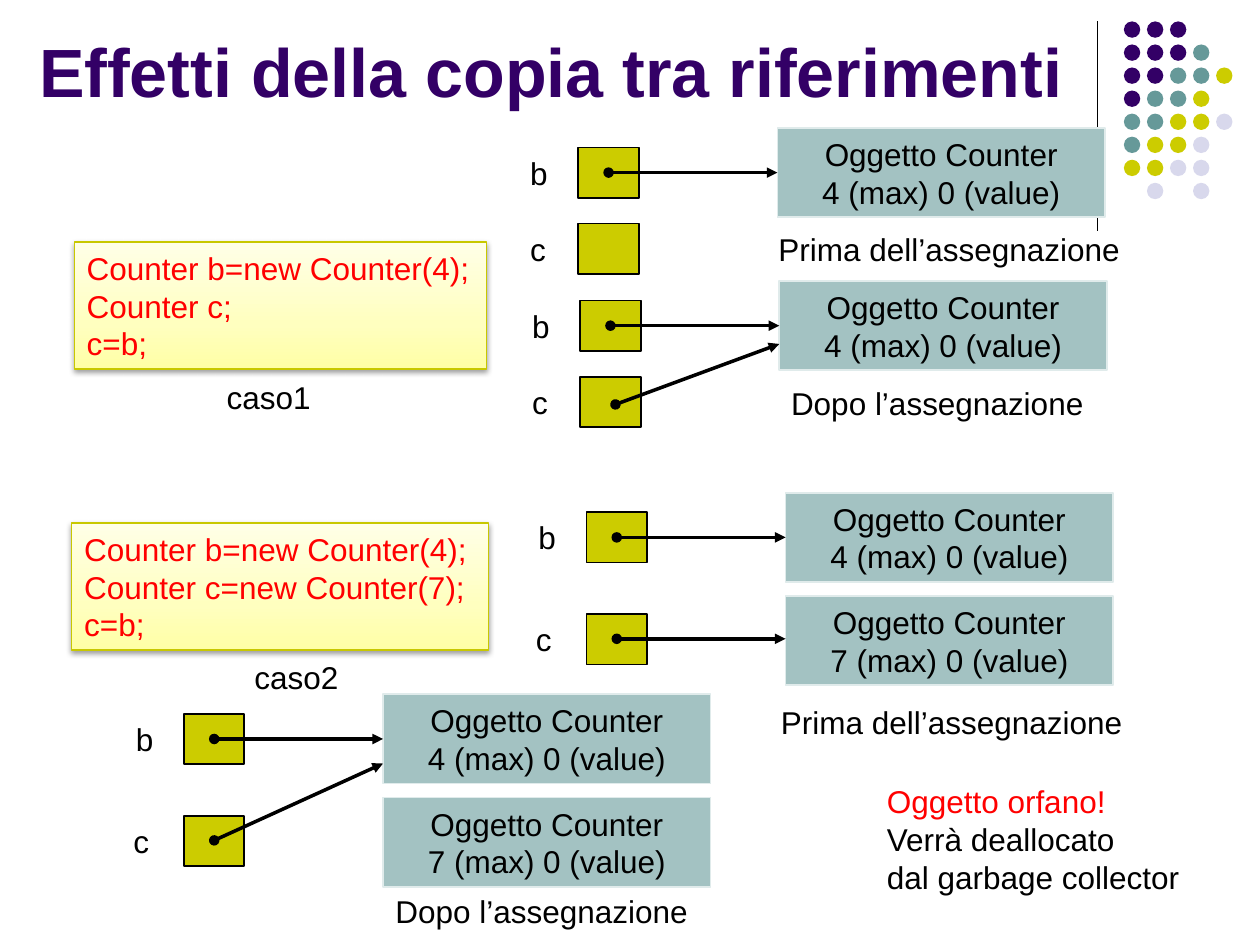
from lxml.etree import SubElement
from pptx import Presentation
from pptx.dml.color import RGBColor as RGB
from pptx.enum.shapes import MSO_CONNECTOR as LINK, MSO_SHAPE as KIND
from pptx.enum.text import MSO_ANCHOR as ANCHOR, MSO_AUTO_SIZE as FIT, PP_ALIGN as ALIGN
from pptx.oxml import parse_xml
from pptx.oxml.ns import nsdecls, qn
from pptx.util import Inches, Pt

HUES = {
    "ink": "000000", "red": "FF0000", "plum": "330066", "teal": "669999",
    "lime": "CCCC00", "haze": "D8D8EC", "sage": "A3C2C2", "rim": "E0EBEB",
    "edge": "C8C800", "deep": "FFFFA5", "mid": "FFFFBF", "pale": "FFFFE7",
}
WIDE, HIGH = Inches(10), Inches(7.5)
UNIT = WIDE / 100  # the grid has 100 columns and 75 rows
DOTS = ["PPP", "PPPT", "PPTTY", "PTTY", "TTYYL", "TYYL", "YYLL", " L L"]
DOT_HUES = {"P": "plum", "T": "teal", "Y": "lime", "L": "haze"}
CELL_W, CELL_H = 4.8, 4
OBJ_X, OBJ_W, OBJ_H = 15.8, 26, 7.1
BEFORE, AFTER = "Prima dell’assegnazione", "Dopo l’assegnazione"


def hue(name):
    return RGB.from_string(HUES[name])


def grid(*cells):
    return [round(cell * UNIT) for cell in cells]


def write(shape, text, hues=("ink",), size=18, bold=False, align=ALIGN.LEFT):
    """Fill a shape with text; the last hue serves all remaining lines."""
    frame = shape.text_frame
    frame.text = text
    for i, para in enumerate(frame.paragraphs):
        para.alignment = align
        for run in para.runs:
            font = run.font
            font.name, font.size, font.bold = "Arial", Pt(size), bold
            font.color.rgb = hue(hues[min(i, len(hues) - 1)])


def label(slide, box, text, hues=("ink",), wrap=False):
    shape = slide.shapes.add_textbox(*grid(*box))
    shape.text_frame.word_wrap = wrap
    shape.text_frame.auto_size = FIT.SHAPE_TO_FIT_TEXT
    write(shape, text, hues)


def block(slide, box, fill, line=None, width=1, kind=KIND.RECTANGLE):
    shape = slide.shapes.add_shape(kind, *grid(*box))
    shape.shadow.inherit = False
    shape.fill.solid()
    shape.fill.fore_color.rgb = hue(fill)
    if line:
        shape.line.color.rgb = hue(line)
        shape.line.width = Pt(width)
    else:
        shape.line.fill.background()
    return shape


def stroke(slide, ends, width):
    line = slide.shapes.add_connector(LINK.STRAIGHT, *grid(*ends))
    line.line.color.rgb = hue("ink")
    line.line.width = Pt(width)
    SubElement(line._element.spPr, qn("a:effectLst"))
    return line


def arrow(slide, ends):
    pen = stroke(slide, ends, 2).line._get_or_add_ln()
    SubElement(pen, qn("a:headEnd"), type="oval")
    SubElement(pen, qn("a:tailEnd"), type="triangle")


def motif(slide, left, top):
    """Draw the corner rule and its pattern of dots."""
    stroke(slide, (left, top, left, top + 16.6), 0.75)
    step = 1.83
    for row, marks in enumerate(DOTS):
        for col, mark in enumerate(marks):
            if mark in DOT_HUES:
                box = (left + 2.1 + col * step, top + row * step, 1.3, 1.3)
                block(slide, box, DOT_HUES[mark], kind=KIND.OVAL)


def heading(slide, box, text):
    title = slide.shapes.title
    title.left, title.top, title.width, title.height = grid(*box)
    frame = title.text_frame
    frame.word_wrap, frame.auto_size = True, FIT.NONE
    frame.vertical_anchor = ANCHOR.BOTTOM
    write(title, text, ("plum",), 39, True)


def code(slide, box, text):
    """Place a code note with a yellow gradient and a soft shadow."""
    note = block(slide, box, "pale", "edge", 0.75)
    props = note._element.spPr
    stops = "".join(
        f'<a:gs pos="{pos}000"><a:srgbClr val="{HUES[name]}"/></a:gs>'
        for pos, name in ((0, "deep"), (35, "mid"), (100, "pale")))
    props.replace(props.find(qn("a:solidFill")), parse_xml(
        f'<a:gradFill {nsdecls("a")} rotWithShape="1"><a:gsLst>{stops}</a:gsLst>'
        '<a:lin ang="16200000" scaled="0"/></a:gradFill>'))
    props.find(qn("a:effectLst")).append(parse_xml(
        f'<a:outerShdw {nsdecls("a")} blurRad="{Pt(3.1)}" dist="{Pt(1.6)}" '
        f'dir="5400000" rotWithShape="0"><a:srgbClr val="{HUES["ink"]}">'
        '<a:alpha val="38000"/></a:srgbClr></a:outerShdw>'))
    note.text_frame.word_wrap = False
    note.text_frame.auto_size = FIT.SHAPE_TO_FIT_TEXT
    write(note, text, ("red",))


def item(slide, left, top, size):
    box = block(slide, (left, top, OBJ_W, OBJ_H), "sage", "rim")
    write(box, f"Oggetto Counter\n{size} (max) 0 (value)", align=ALIGN.CENTER)


def diagram(slide, left, top, gap, caption, spot, sizes=(4,), link=None):
    """Draw variables b and c, their objects and a caption.

    gap is the drop from b to c; spot (caption) and link (arrow of c)
    are measured from the left of the cells and the top of the first object.
    """
    shift = 4.8 if len(sizes) == 1 else 5
    for name, drop, back, wide in (("b", 0, 4.8, 4.7), ("c", gap, shift, 5.5)):
        y = top + 1.55 + drop
        block(slide, (left, y, CELL_W, CELL_H), "lime", "ink")
        label(slide, (left - back, y, wide, CELL_H), name, wrap=True)
    for i, size in enumerate(sizes):
        item(slide, left + OBJ_X, top + i * 8.2, size)
    dx, dy = spot
    wide = 29.4 if caption == BEFORE else OBJ_W
    label(slide, (left + dx, top + dy, wide, 4), caption)
    for x1, y1, x2, y2 in [(2.4, 3.55, OBJ_X, 3.55)] + ([link] if link else []):
        arrow(slide, (left + x1, top + y1, left + x2, top + y2))


def main():
    deck = Presentation()
    deck.slide_width, deck.slide_height = WIDE, HIGH
    slide = deck.slides.add_slide(deck.slide_layouts[5])
    motif(slide, 87.1, 1.7)
    heading(slide, (2.1, -4.9, 89.1, 14.2), "Effetti della copia tra riferimenti")

    code(slide, (5.9, 19.2, 32.7, 10.1), "Counter b=new Counter(4);\nCounter c;\nc=b;")
    label(slide, (17, 29.5, 8.8, 4), "caso1")
    diagram(slide, 45.9, 10.15, 6.05, BEFORE, (14.9, 7.65))
    diagram(slide, 46.05, 22.3, 6.05, AFTER, (15.75, 7.7), link=(2.8, 9.8, OBJ_X, 5))

    code(slide, (5.7, 41.5, 33.1, 10.1),
         "Counter b=new Counter(4);\nCounter c=new Counter(7);\nc=b;")
    label(slide, (19.2, 51.7, 8.8, 4), "caso2")
    diagram(slide, 46.55, 39.1, 8.1, BEFORE, (14.45, 16.2), (4, 7),
            (2.4, 11.6, OBJ_X, 11.6))
    diagram(slide, 14.6, 55.1, 8.1, AFTER, (15.8, 15.2), (4, 7),
            (2.4, 11.6, OBJ_X, 5.5))
    label(slide, (69.4, 61.6, 25.4, 10.1),
          "Oggetto orfano!\nVerrà deallocato\ndal garbage collector", ("red", "ink"))
    deck.save("out.pptx")


if __name__ == "__main__":
    main()
